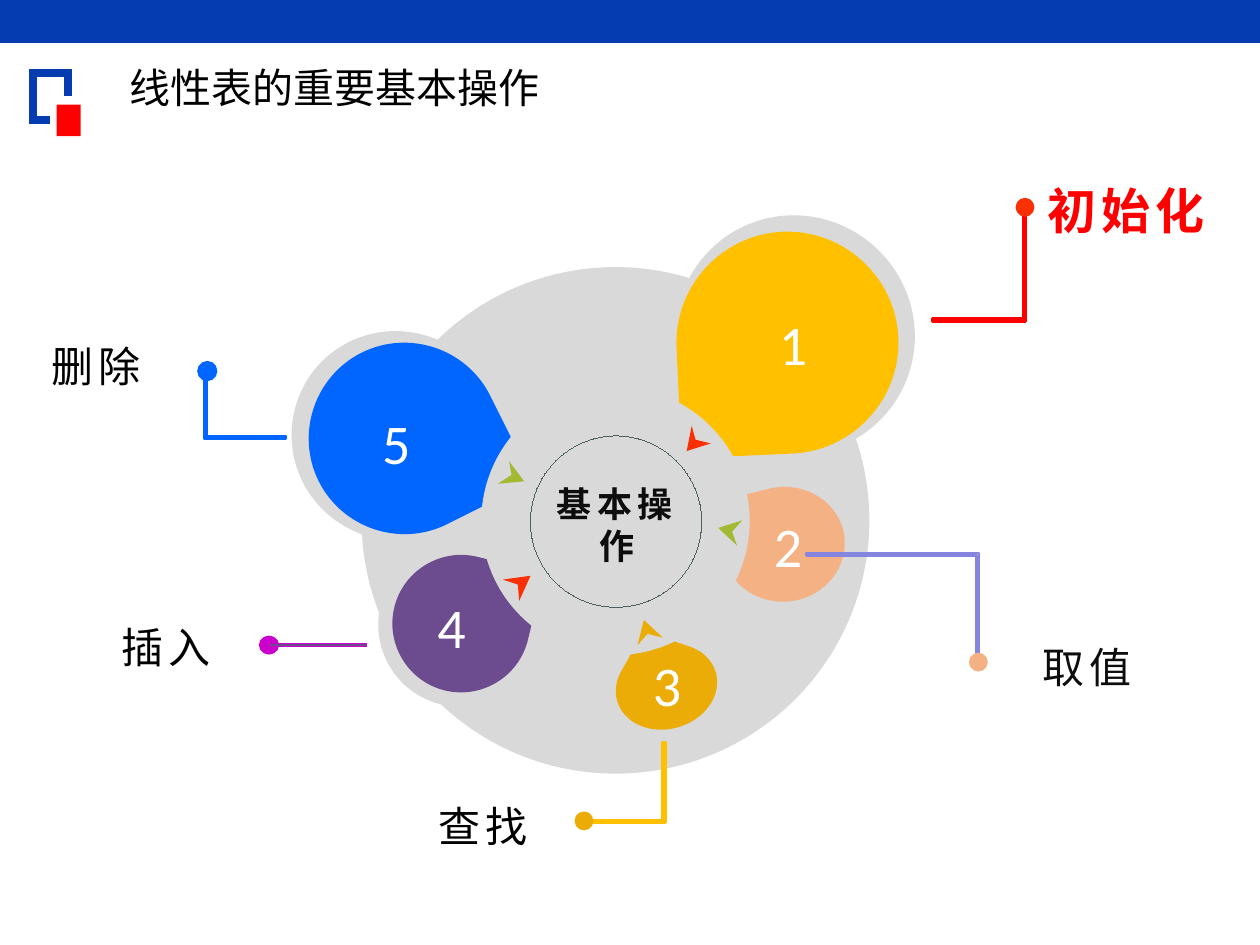
from math import cos, sin, radians

from lxml.etree import SubElement
from pptx import Presentation
from pptx.dml.color import RGBColor
from pptx.enum.shapes import MSO_SHAPE as Kind
from pptx.enum.text import MSO_ANCHOR as Anchor, MSO_AUTO_SIZE as Fit, PP_ALIGN as Align
from pptx.oxml.ns import qn
from pptx.util import Pt

PX = 9144
BEND = 0.55
HAIR = 0.01

NAVY = RGBColor(0x05, 0x3C, 0xAF)
RED = RGBColor(0xFF, 0x00, 0x00)
GREY = RGBColor(0xD9, 0xD9, 0xD9)
PLUM = RGBColor(0x6C, 0x4C, 0x8F)
BLUE = RGBColor(0x00, 0x66, 0xFF)
GOLD = RGBColor(0xFF, 0xC0, 0x00)
PEACH = RGBColor(0xF4, 0xB1, 0x83)
AMBER = RGBColor(0xEB, 0xAC, 0x07)
FLAME = RGBColor(0xF8, 0x30, 0x03)
LIME = RGBColor(0xA2, 0xB9, 0x32)
LILAC = RGBColor(0x85, 0x85, 0xE0)
PINK = RGBColor(0xCC, 0x00, 0xCC)
SLATE = RGBColor(0x4C, 0x60, 0x62)
BLACK = RGBColor(0x00, 0x00, 0x00)
INK = RGBColor(0x0D, 0x0D, 0x0D)
WHITE = RGBColor(0xFF, 0xFF, 0xFF)

TEARS = [
    (631, 266, -95, 3, -4, -95, GREY, 0),
    (315, 346, 37, 75, -75, 36, GREY, 0),
    (365, 496, 64, 10, -10, 64, GREY, 0),
]
DROPS = [
    (366, 495, 53, 13, -13, 53, PLUM, 0),
    (321, 348, 34, 68, -68, 34, BLUE, 0),
    (625, 272, -88, 4, -4, -88, GOLD, 0),
    (622, 432, -12, -44, 47, -12, PEACH, 346.9),
    (529, 545, 18, -32, 36, 12, AMBER, 340.9),
]
DARTS = [
    ([(399, 460), (421, 457), (412, 477), (411, 464)], FLAME, 0),
    ([(404, 366), (416, 382), (395, 384), (406, 377)], LIME, 0),
    ([(564, 352), (545, 358), (549, 338), (552, 349)], FLAME, 0),
    ([(585, 433), (570, 419), (589, 413), (581, 422)], LIME, 327.9),
    ([(506, 512), (511, 492), (526, 506), (514, 503)], AMBER, 343.4),
]
ELBOWS = [
    (814, 255, -74, -95, RED, RED),
    (777, 439, -137, 81, PEACH, LILAC),
    (528, 653, -67, -64, GOLD, GOLD),
]
DOTS = [
    (806, 157, 15, FLAME, None),
    (769, 518, 15, PEACH, None),
    (206, 505, 14, PINK, PINK),
    (456, 644, 15, AMBER, None),
]
LABELS = [
    ("查找", 332, 628, BLACK),
    ("插入", 80, 486, BLACK),
    ("取值", 811, 502, INK),
    ("删除", 25, 263, BLACK),
]
DIGITS = [("1", 603, 239), ("5", 288, 317), ("4", 332, 463),
          ("3", 503, 509), ("2", 599, 399)]


def paint(shape, fill, line, width):
    shape.shadow.inherit = False
    if fill is None:
        shape.fill.background()
    else:
        shape.fill.solid()
        shape.fill.fore_color.rgb = fill
    if line is None:
        shape.line.fill.background()
    else:
        shape.line.color.rgb = line
        shape.line.width = Pt(width)


def add_form(slide, kind, box, fill=None, line=None, width=0.75):
    shape = slide.shapes.add_shape(kind, *[v * PX for v in box])
    paint(shape, fill, line, width)


def spin(dots, deg):
    c, s = cos(radians(deg)), sin(radians(deg))
    return [(x * c - y * s, x * s + y * c) for x, y in dots]


def unturn(dots, deg):
    flat = spin(dots, -deg)
    mid = [(min(axis) + max(axis)) / 2 for axis in zip(*flat)]
    hub = spin([mid], deg)[0]
    return [(x - mid[0] + hub[0], y - mid[1] + hub[1]) for x, y in flat]


def add_path(slide, dots, fill=None, line=None, width=1.5, close=True, turn=0):
    pts = [(x * PX, y * PX) for x, y in unturn(dots, turn)]
    pen = slide.shapes.build_freeform(*pts[0], scale=1.0)
    pen.add_line_segments(pts[1:], close=close)
    shape = pen.convert_to_shape()
    shape.rotation = turn
    paint(shape, fill, line, width)
    return shape


def bend_path(shape):
    legs = list(shape._element.iter(qn("a:lnTo")))
    for first, second, third in zip(legs[::3], legs[1::3], legs[2::3]):
        first.tag = qn("a:cubicBezTo")
        for leg in (second, third):
            first.append(leg[0])
            leg.getparent().remove(leg)


def add_tear(slide, x, y, ux, uy, vx, vy, fill, turn):
    def spot(u, v):
        return x + u * ux + v * vx, y + u * uy + v * vy

    dots = [spot(1, 0)]
    for u, v in ((1, 0), (0, 1), (-1, 0)):
        nu, nv = -v, u
        dots += [spot(u + BEND * nu, v + BEND * nv),
                 spot(nu + BEND * u, nv + BEND * v), spot(nu, nv)]
    tip = spot(1, -1)
    dots += [spot(0.27, -1), tip, tip, tip, spot(1, -0.27), spot(1, 0)]
    bend_path(add_path(slide, dots, fill, turn=turn))


def add_elbow(slide, x, y, dx, dy, fill, line):
    ix = x + (2 if dx > 0 else -2)
    iy = y + (2 if dy > 0 else -2)
    dots = [(x, y), (x + dx, y), (x + dx, iy), (ix, iy), (ix, y + dy), (x, y + dy)]
    add_path(slide, dots, fill, line)


def add_dot(slide, x, y, high, fill, line):
    add_form(slide, Kind.OVAL, (x, y, 15, high), fill, line)


def add_mark(slide):
    dots = [(40, 95), (26, 95), (26, 58), (54, 58), (54, 76)]
    shape = add_path(slide, dots, line=NAVY, width=4.5, close=False)
    join = SubElement(shape._element.spPr.find(qn("a:ln")), qn("a:miter"))
    join.set("lim", "800000")
    add_form(slide, Kind.RECTANGLE, (45, 83, 19, 25), RED)


def add_text(slide, text, box, size, color, bold=False, wrap=False):
    shape = slide.shapes.add_textbox(*[v * PX for v in box])
    frame = shape.text_frame
    frame.text = text
    frame.word_wrap = wrap
    frame.auto_size = Fit.SHAPE_TO_FIT_TEXT
    frame.margin_left = frame.margin_right = 13 * PX
    frame.margin_top = frame.margin_bottom = 7 * PX
    para = frame.paragraphs[0]
    para.alignment = Align.CENTER
    run = para.runs[0]
    run.font.name = "Calibri"
    run.font.size = Pt(size)
    run.font.bold = bold
    run.font.color.rgb = color
    run._r.get_or_add_rPr().set("spc", "300")


def add_title(slide, text):
    shape = slide.shapes.add_textbox(*[v * PX for v in (68, 42, 499, 60)])
    frame = shape.text_frame
    frame.text = text
    frame.word_wrap = True
    frame.vertical_anchor = Anchor.MIDDLE
    frame.margin_left = 35 * PX
    para = frame.paragraphs[0]
    para.line_spacing = 0.9
    run = para.runs[0]
    run.font.name = "Noto Sans CJK SC"
    run.font.size = Pt(23.4)
    run.font.color.rgb = BLACK
    SubElement(run._r.get_or_add_rPr(), qn("a:ea")).set("typeface", "Noto Sans CJK SC")


def main():
    deck = Presentation()
    deck.slide_width, deck.slide_height = 1000 * PX, 750 * PX
    slide = deck.slides.add_slide(deck.slide_layouts[6])
    add_form(slide, Kind.RECTANGLE, (0, 0, 1000, 34), NAVY)
    add_mark(slide)
    add_title(slide, "线性表的重要基本操作")
    for tear in TEARS:
        add_tear(slide, *tear)
    add_form(slide, Kind.OVAL, (287, 212, 403, 402), GREY)
    for drop in DROPS:
        add_tear(slide, *drop)
    add_form(slide, Kind.OVAL, (382, 307, 213, 213), GREY)
    for dots, fill, turn in DARTS:
        add_path(slide, dots, fill, turn=turn)
    add_form(slide, Kind.OVAL, (421, 346, 136, 136), line=SLATE, width=HAIR)
    for elbow in ELBOWS:
        add_elbow(slide, *elbow)
    for dot in DOTS:
        add_dot(slide, *dot)
    add_text(slide, "基本操作", (424, 376, 132, 81), 20, INK, True, True)
    add_text(slide, "初始化", (815, 136, 157, 61), 28, RED, True)
    for text, x, y, color in LABELS:
        add_text(slide, text, (x, y, 103, 54), 24, color)
    for text, x, y in DIGITS:
        add_text(slide, text, (x, y, 53, 67), 32, WHITE)
    add_form(slide, Kind.RECTANGLE, (214, 511, 77, 2), PLUM, PINK)
    add_elbow(slide, 162, 348, 65, -58, BLUE, BLUE)
    add_dot(slide, 157, 287, 15, BLUE, BLUE)
    deck.save("out.pptx")


if __name__ == "__main__":
    main()
